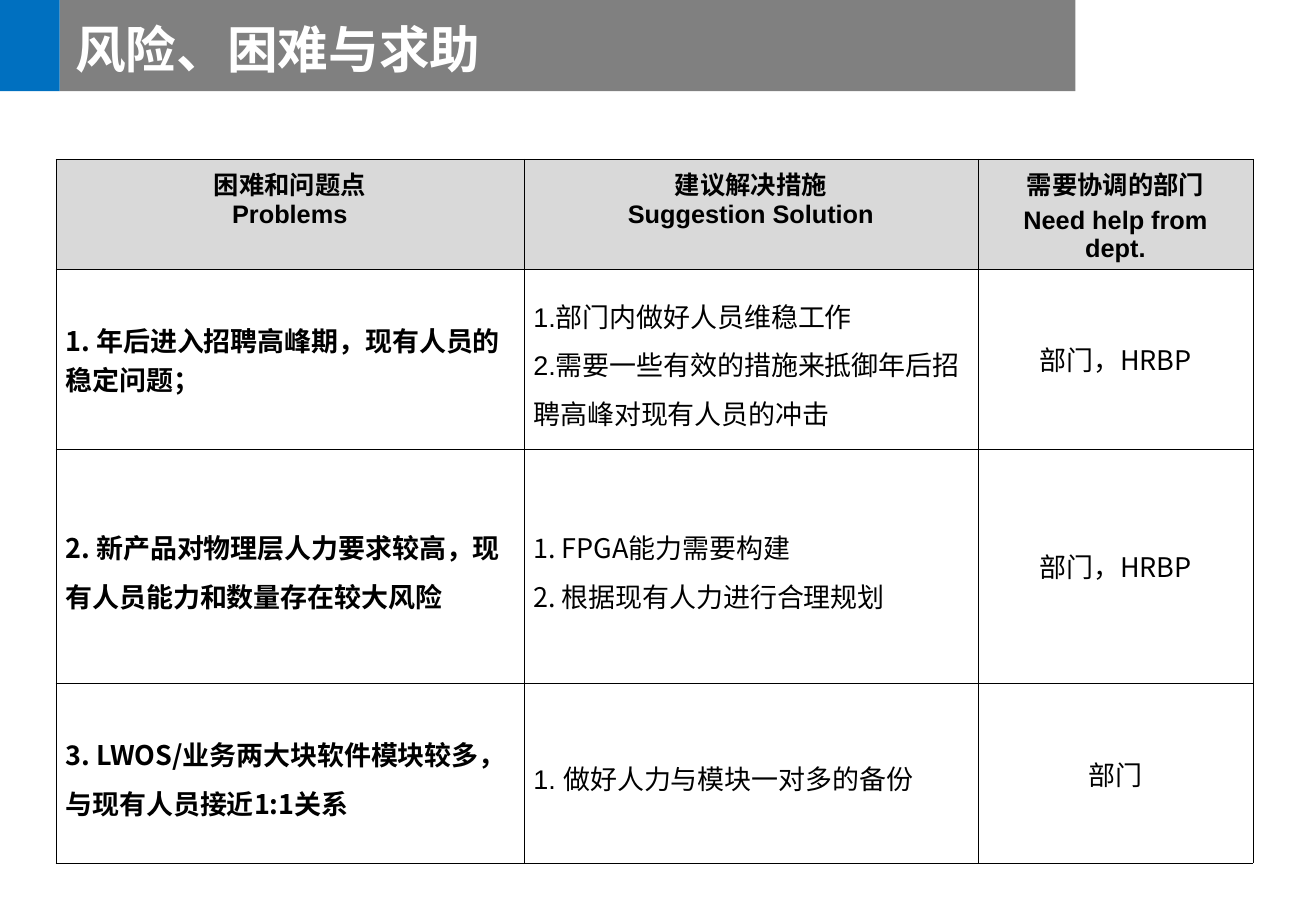
from lxml.etree import SubElement
from pptx import Presentation
from pptx.dml.color import RGBColor
from pptx.enum.shapes import MSO_SHAPE
from pptx.enum.text import MSO_ANCHOR, MSO_AUTO_SIZE, PP_ALIGN
from pptx.oxml.ns import qn
from pptx.util import Inches, Pt

BLACK = RGBColor(0x00, 0x00, 0x00)
WHITE = RGBColor(0xFF, 0xFF, 0xFF)
GRAY = RGBColor(0x80, 0x80, 0x80)
BLUE = RGBColor(0x00, 0x70, 0xC0)
HEADER_FILL = RGBColor(0xD9, 0xD9, 0xD9)
LATIN, CJK = "Arial", "Noto Sans CJK SC"

COL_WIDTHS = [3.85, 3.74, 2.26]
ROW_HEIGHTS = [0.66, 1.48, 1.93, 1.48]
HEADERS = [
    ["困难和问题点", "Problems"],
    ["建议解决措施", "Suggestion Solution"],
    ["需要协调的部门", "Need help from dept."],
]
# problem, its line spacing, solutions, their font, departments
RISKS = [
    ("1. 年后进入招聘高峰期，现有人员的稳定问题；", 1,
     ["1.部门内做好人员维稳工作",
      "2.需要一些有效的措施来抵御年后招聘高峰对现有人员的冲击"], LATIN,
     "部门，HRBP"),
    ("2. 新产品对物理层人力要求较高，现有人员能力和数量存在较大风险", 1.25,
     ["1. FPGA能力需要构建", "2. 根据现有人力进行合理规划"], CJK,
     "部门，HRBP"),
    ("3. LWOS/业务两大块软件模块较多，与现有人员接近1:1关系", 1.25,
     ["1. 做好人力与模块一对多的备份"], LATIN,
     "部门"),
]


def set_font(p, name, size, color=BLACK, bold=False):
    f = p.font
    f.name, f.size, f.bold = name, Pt(size), bold
    f.color.rgb = color
    def_rpr = p._p.pPr.find(qn("a:defRPr"))
    SubElement(def_rpr, qn("a:ea")).set("typeface", CJK)


def set_margins(target, x, y):
    target.margin_left = target.margin_right = Inches(x)
    target.margin_top = target.margin_bottom = Inches(y)


def add_bar(slide, left, top, width, height, color):
    s = slide.shapes.add_shape(MSO_SHAPE.RECTANGLE, Inches(left), Inches(top),
                               Inches(width), Inches(height))
    s.shadow.inherit = False
    s.fill.solid()
    s.fill.fore_color.rgb = color
    s.line.fill.background()


def add_title_band(slide, left, top, width, height, text):
    accent = 0.49
    add_bar(slide, left + accent, top, width - accent, height, GRAY)
    add_bar(slide, left, top, accent, height, BLUE)

    title = slide.shapes.title
    slide.shapes._spTree.append(title._element)  # bring in front of the bars
    title.left, title.top = Inches(left + 0.52), Inches(top + 0.05)
    title.width, title.height = Inches(7.34), Inches(height - 0.05)
    tf = title.text_frame
    tf.text = text
    tf.word_wrap = True
    tf.auto_size = MSO_AUTO_SIZE.NONE
    tf.vertical_anchor = MSO_ANCHOR.MIDDLE
    set_margins(tf, 0.1, 0.1)
    p = tf.paragraphs[0]
    p.alignment = PP_ALIGN.LEFT
    set_font(p, CJK, 30, WHITE, True)


def add_borders(cell):
    tc_pr = cell._tc.get_or_add_tcPr()
    for side in ("lnL", "lnR", "lnT", "lnB"):
        ln = SubElement(tc_pr, qn(f"a:{side}"), w=str(Pt(0.25)))
        fill = SubElement(ln, qn("a:solidFill"))
        SubElement(fill, qn("a:srgbClr"), val=str(BLACK))


def fill_cell(cell, lines, font, size=16, bold=False,
              align=PP_ALIGN.LEFT, spacing=None):
    add_borders(cell)
    cell.fill.background()
    cell.vertical_anchor = MSO_ANCHOR.MIDDLE
    set_margins(cell, 0.08, 0)
    cell.text_frame.text = "\n".join(lines)
    for p in cell.text_frame.paragraphs:
        p.alignment = align
        p.line_spacing = spacing
        set_font(p, font, size, bold=bold)


def fill_header(cell, lines, second_spacing):
    fill_cell(cell, lines, LATIN, 15, True, PP_ALIGN.CENTER)
    cell.fill.solid()
    cell.fill.fore_color.rgb = HEADER_FILL
    cell.vertical_anchor = MSO_ANCHOR.TOP
    set_margins(cell, 0.1, 0.05)
    for p in cell.text_frame.paragraphs:
        p.space_before = Pt(3)
    cell.text_frame.paragraphs[1].line_spacing = second_spacing


def add_risk_table(slide, left, top):
    table = slide.shapes.add_table(
        len(ROW_HEIGHTS), len(COL_WIDTHS), Inches(left), Inches(top),
        Inches(sum(COL_WIDTHS)), Inches(sum(ROW_HEIGHTS))).table
    table.first_row = table.horz_banding = False
    for col, width in zip(table.columns, COL_WIDTHS):
        col.width = Inches(width)
    for row, height in zip(table.rows, ROW_HEIGHTS):
        row.height = Inches(height)

    for c, lines in enumerate(HEADERS):
        fill_header(table.cell(0, c), lines, Pt(13) if c < 2 else None)
    for r, (problem, spacing, solutions, font, depts) in enumerate(RISKS, 1):
        fill_cell(table.cell(r, 0), [problem], CJK, bold=True, spacing=spacing)
        fill_cell(table.cell(r, 1), solutions, font, spacing=1.25)
        fill_cell(table.cell(r, 2), [depts], CJK, align=PP_ALIGN.CENTER)


def main():
    prs = Presentation()
    prs.slide_width, prs.slide_height = Inches(10.83), Inches(7.5)
    slide = prs.slides.add_slide(prs.slide_layouts[5])
    add_title_band(slide, 0, 0, 8.85, 0.75, "风险、困难与求助")
    add_risk_table(slide, 0.46, 1.31)
    prs.save("out.pptx")


if __name__ == "__main__":
    main()
